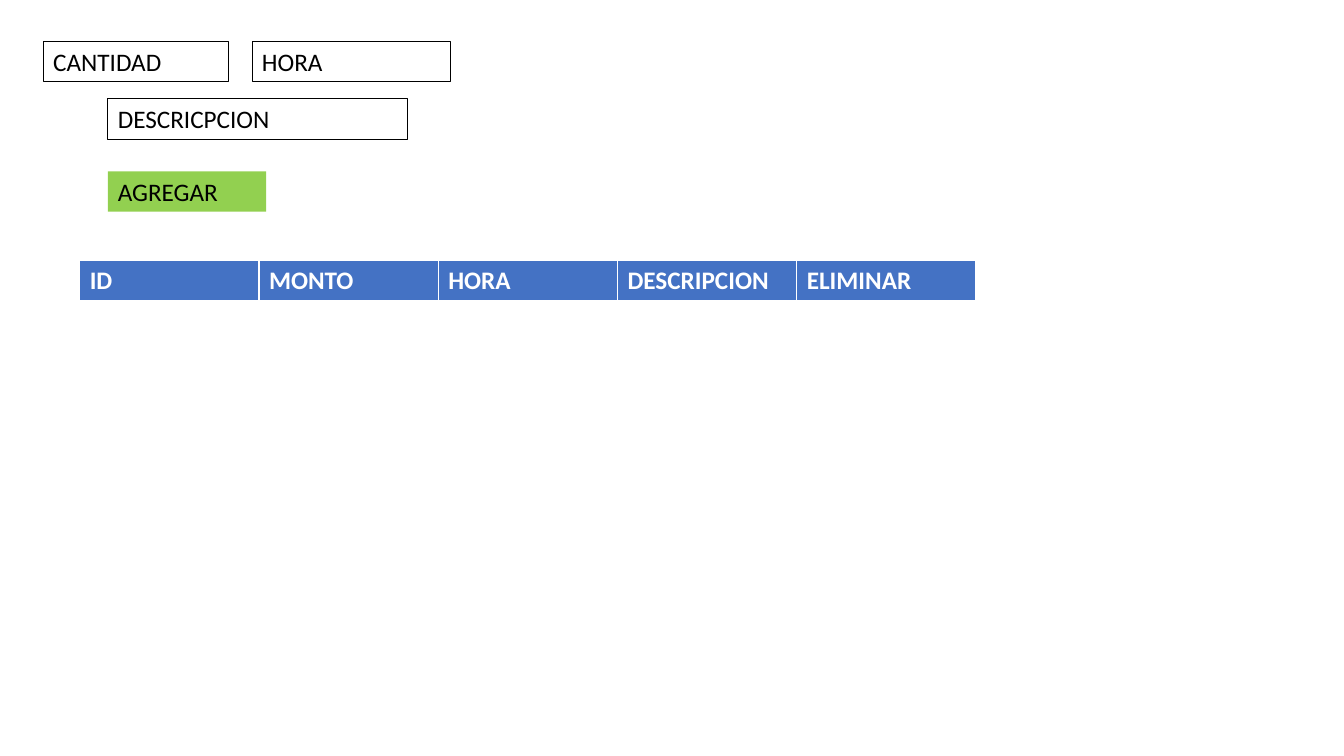
from lxml.etree import SubElement
from pptx import Presentation
from pptx.dml.color import RGBColor
from pptx.enum.text import MSO_AUTO_SIZE
from pptx.oxml.ns import qn
from pptx.util import Pt

SCALE = 9144  # EMU per px, 100 px to the inch
BLACK, WHITE, GREEN, BLUE = "000000", "FFFFFF", "92D050", "4472C4"


def px(*sizes):
    return [size * SCALE for size in sizes]


def paint(target, color):
    target.rgb = RGBColor.from_string(color)


def write(frame, text, color, bold=False):
    para = frame.paragraphs[0]
    para.text = text
    para.font.name = "Calibri"
    para.font.size = Pt(18)
    para.font.bold = bold
    paint(para.font.color, color)


def add_box(slide, text, box, fill=None):
    """A bordered field, or a filled button when a fill is given."""
    shape = slide.shapes.add_textbox(*px(*box))
    frame = shape.text_frame
    frame.word_wrap = True
    frame.auto_size = MSO_AUTO_SIZE.SHAPE_TO_FIT_TEXT
    write(frame, text, BLACK)
    if fill:
        shape.fill.solid()
        paint(shape.fill.fore_color, fill)
    else:
        paint(shape.line.color, BLACK)
        shape.line.width = Pt(0.75)


def add_form(slide, left, top):
    """Entry fields with the button below them."""
    high = 40
    add_box(slide, "CANTIDAD", (left, top, 184, high))
    add_box(slide, "HORA", (left + 207, top, 197, high))
    add_box(slide, "DESCRICPCION", (left + 64, top + 57, 297, high))
    add_box(slide, "AGREGAR", (left + 64, top + 129, 157, high), GREEN)


def add_edges(cell):
    props = cell._tc.get_or_add_tcPr()
    for spot, (side, width) in enumerate(zip("LRTB", (1, 1, 1, 3))):
        line = SubElement(props, qn(f"a:ln{side}"), w=str(Pt(width)))
        fill = SubElement(line, qn("a:solidFill"))
        SubElement(fill, qn("a:srgbClr"), val=WHITE)
        props.insert(spot, line)


def add_list(slide, heads, box):
    """Header row of the records table."""
    table = slide.shapes.add_table(1, len(heads), *px(*box)).table
    for cell, head in zip(table.rows[0].cells, heads):
        write(cell.text_frame, head, WHITE, True)
        cell.fill.solid()
        paint(cell.fill.fore_color, BLUE)
        add_edges(cell)


def main():
    deck = Presentation()
    deck.slide_width, deck.slide_height = px(1333, 750)
    slide = deck.slides.add_slide(deck.slide_layouts[6])
    add_form(slide, 43, 41)
    heads = ["ID", "MONTO", "HORA", "DESCRIPCION", "ELIMINAR"]
    add_list(slide, heads, (79, 258, 889, 41))
    deck.save("out.pptx")


if __name__ == "__main__":
    main()
